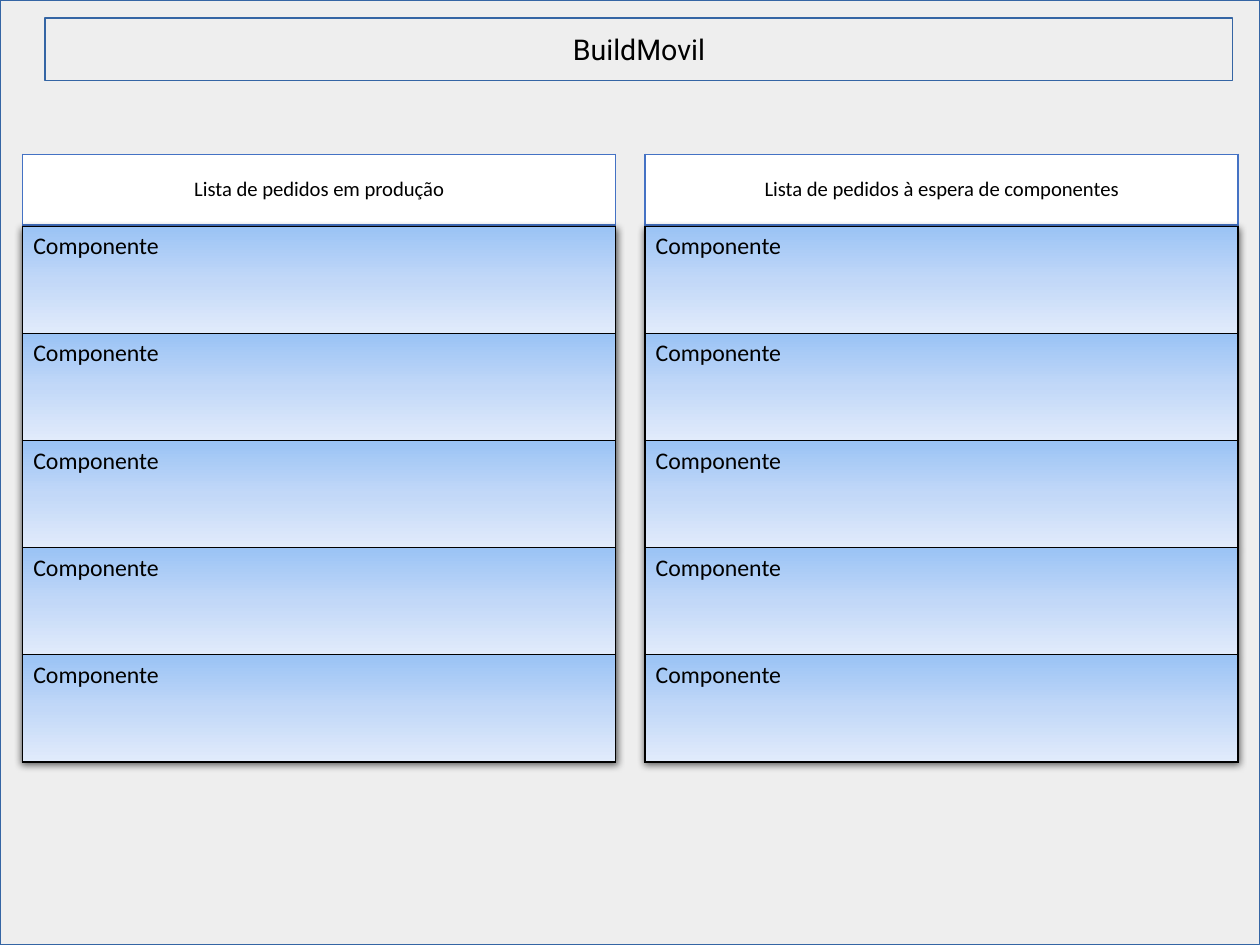
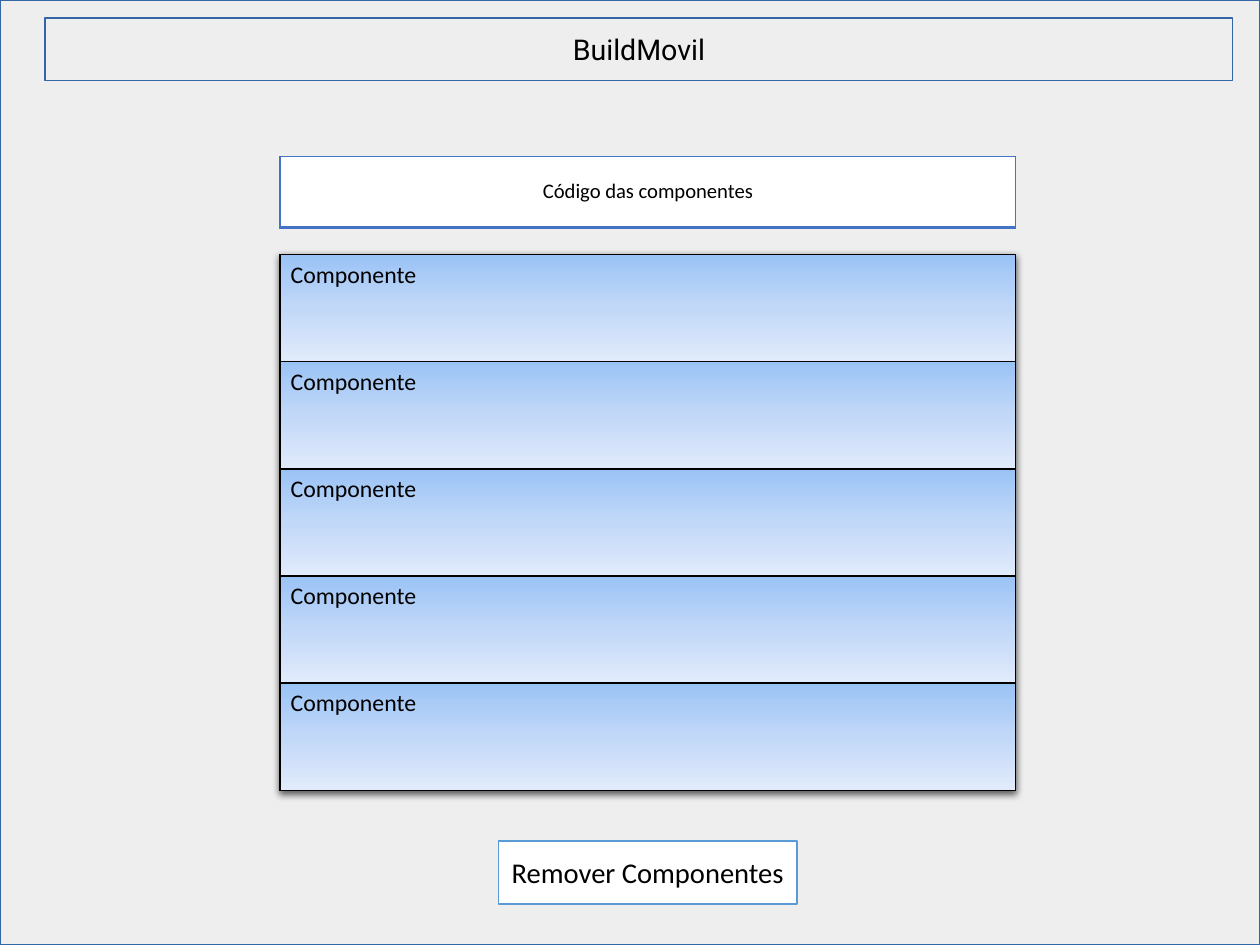
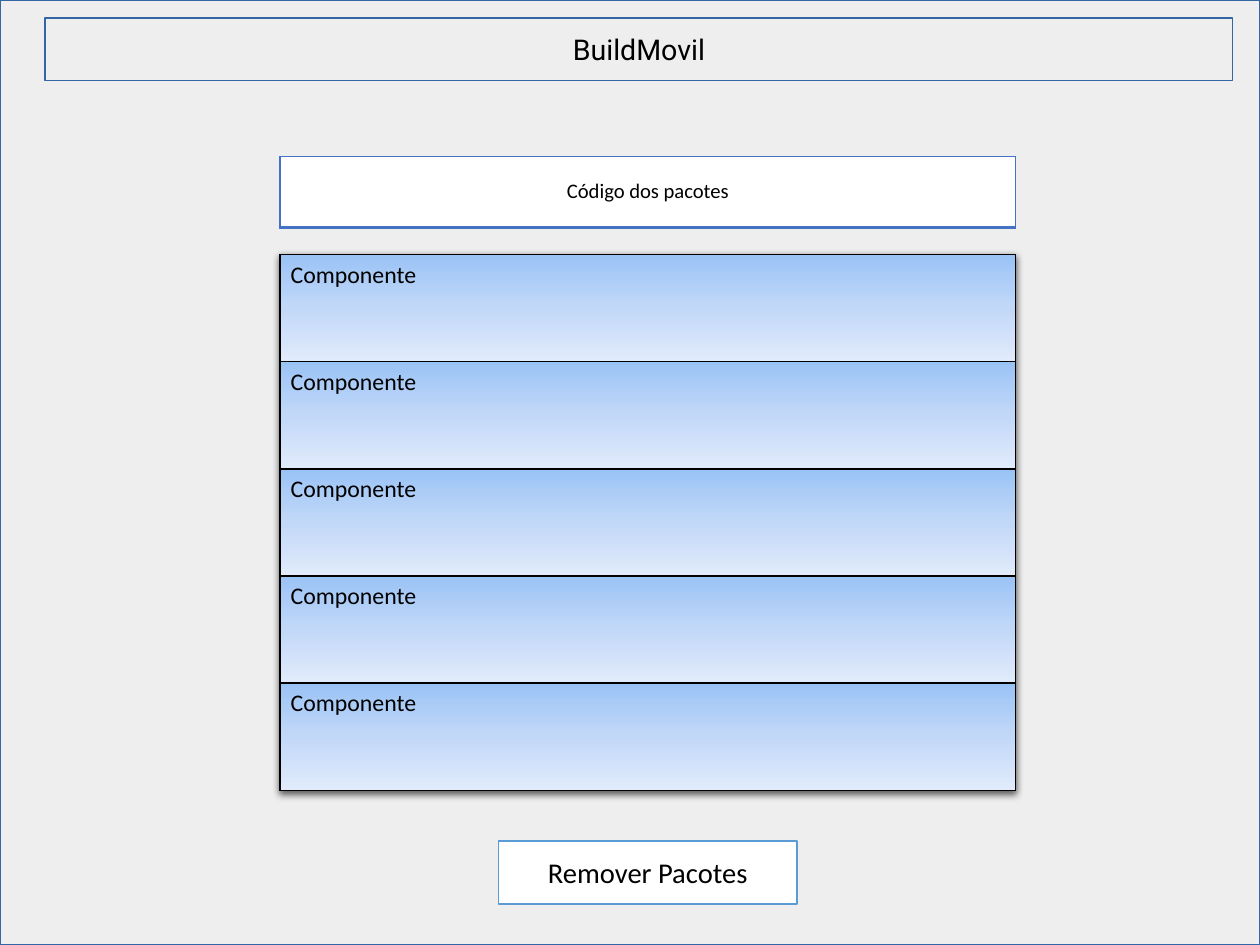
from pptx import Presentation
from pptx import util as u
from pptx.dml.color import RGBColor
from pptx.enum import shapes, text
from pptx.oxml import ns, parse_xml

Cm, Pt = u.Cm, u.Pt

BLACK = RGBColor(0x00, 0x00, 0x00)
WHITE = RGBColor(0xFF, 0xFF, 0xFF)
GREY = RGBColor(0xEE, 0xEE, 0xEE)
FRAME_BLUE = RGBColor(0x34, 0x65, 0xA4)
HEADER_BLUE = RGBColor(0x44, 0x72, 0xC4)
BUTTON_BLUE = RGBColor(0x5B, 0x9B, 0xD5)
ROW_STOPS = (
    (0, RGBColor(0x9A, 0xC3, 0xF5)),
    (50, RGBColor(0xC2, 0xD8, 0xF8)),
    (100, RGBColor(0xE1, 0xEB, 0xFB)),
)

PAGE_WIDTH, PAGE_HEIGHT = Cm(28), Cm(21)
HEADER_HEIGHT, ROW_HEIGHT = Cm(1.57), Cm(2.38)
ROWS = ["Componente"] * 5
PLAIN_TABLE = "{2D5ABB26-0587-4C30-8999-92F81FD0307C}"
A = ns.nsdecls("a")


def write(frame, words, size, font="Calibri", align=text.PP_ALIGN.CENTER):
    para = frame.paragraphs[0]
    para.alignment = align
    span = para.add_run()
    span.text = words
    span.font.size = Pt(size)
    span.font.name = font
    span.font.color.rgb = BLACK


def add_box(page, left, top, width, height, fill, line, line_width):
    box = page.shapes.add_shape(
        shapes.MSO_SHAPE.RECTANGLE, left, top, width, height)
    box.shadow.inherit = False
    box.fill.solid()
    box.fill.fore_color.rgb = fill
    box.line.color.rgb = line
    box.line.width = Pt(line_width)
    box.text_frame.vertical_anchor = text.MSO_ANCHOR.MIDDLE
    return box


def set_borders(cell, color, **widths):
    """Draw cell borders; widths are points keyed by side: L, R, T, B."""
    properties = cell._tc.get_or_add_tcPr()
    for index, side in enumerate("LRTB"):
        properties.insert(index, parse_xml(
            f'<a:ln{side} {A} w="{Pt(widths.get(side, 1))}"><a:solidFill>'
            f'<a:srgbClr val="{color}"/></a:solidFill></a:ln{side}>'))


def fill_gradient(cell):
    stops = "".join(
        f'<a:gs pos="{place * 1000}"><a:srgbClr val="{color}"/></a:gs>'
        for place, color in ROW_STOPS)
    cell._tc.get_or_add_tcPr().append(parse_xml(
        f'<a:gradFill {A} rotWithShape="1"><a:gsLst>{stops}</a:gsLst>'
        '<a:lin ang="5400000" scaled="0"/></a:gradFill>'))


def add_shadow(table):
    table._tbl.tblPr.insert(0, parse_xml(
        f'<a:effectLst {A}><a:outerShdw blurRad="57150" dist="19050" '
        'dir="5400000" algn="ctr" rotWithShape="0"><a:srgbClr val="000000">'
        '<a:alpha val="63000"/></a:srgbClr></a:outerShdw></a:effectLst>'))


def add_column(page, left, top, width, row_height, count, side_margin):
    """Add an unstyled table of one column and return it."""
    table = page.shapes.add_table(
        count, 1, left, top, width, row_height * count).table
    table.first_row = table.horz_banding = False
    table._tbl.tblPr.find(ns.qn("a:tableStyleId")).text = PLAIN_TABLE
    for row in table.rows:
        row.height = row_height
        cell = row.cells[0]
        cell.margin_left = cell.margin_right = side_margin
        cell.margin_top = cell.margin_bottom = Cm(0.13)
    return table


def add_list(page, left, top, width, heading, gap):
    """Place a heading cell and, a gap below it, the rows of the list."""
    header = add_column(
        page, left, top, width, HEADER_HEIGHT, 1, Cm(0.13)).cell(0, 0)
    header.vertical_anchor = text.MSO_ANCHOR.MIDDLE
    header.fill.solid()
    header.fill.fore_color.rgb = WHITE
    set_borders(header, HEADER_BLUE, B=2)
    write(header.text_frame, heading, 13)

    table = add_column(page, left, top + HEADER_HEIGHT + gap, width,
                       ROW_HEIGHT, len(ROWS), Cm(0.24))
    add_shadow(table)
    for row, words in zip(table.rows, ROWS):
        cell = row.cells[0]
        fill_gradient(cell)
        set_borders(cell, BLACK)
        write(cell.text_frame, words, 15, align=text.PP_ALIGN.LEFT)


def add_page(deck):
    """Add a slide with the shared backdrop and title band."""
    page = deck.slides.add_slide(deck.slide_layouts[6])
    add_box(page, 0, 0, PAGE_WIDTH, PAGE_HEIGHT, GREY, FRAME_BLUE, 0)
    band = add_box(page, Cm(1), Cm(0.4), Cm(26.4), Cm(1.4),
                   GREY, FRAME_BLUE, 0)
    band.text_frame.word_wrap = False
    write(band.text_frame, "BuildMovil", 18, font="Roboto")
    return page


def add_orders_page(deck, headings):
    page = add_page(deck)
    width, gutter = Cm(13.18), Cm(0.65)
    for index, heading in enumerate(headings):
        left = Cm(0.5) + index * (width + gutter)
        add_list(page, left, Cm(3.43), width, heading, Cm(0.03))


def add_removal_page(deck, heading, action):
    page = add_page(deck)
    left, width = Cm(6.22), Cm(16.35)
    add_list(page, left, Cm(3.48), width, heading, Cm(0.61))
    button_width = Cm(6.63)
    button = add_box(page, left + (width - button_width) // 2, Cm(18.69),
                     button_width, Cm(1.4), WHITE, BUTTON_BLUE, 1)
    write(button.text_frame, action, 18)


def main():
    deck = Presentation()
    deck.slide_width, deck.slide_height = PAGE_WIDTH, PAGE_HEIGHT
    add_orders_page(deck, ["Lista de pedidos em produção",
                           "Lista de pedidos à espera de componentes"])
    add_removal_page(deck, "Código das componentes", "Remover Componentes")
    add_removal_page(deck, "Código dos pacotes", "Remover Pacotes")
    deck.save("out.pptx")


if __name__ == "__main__":
    main()
